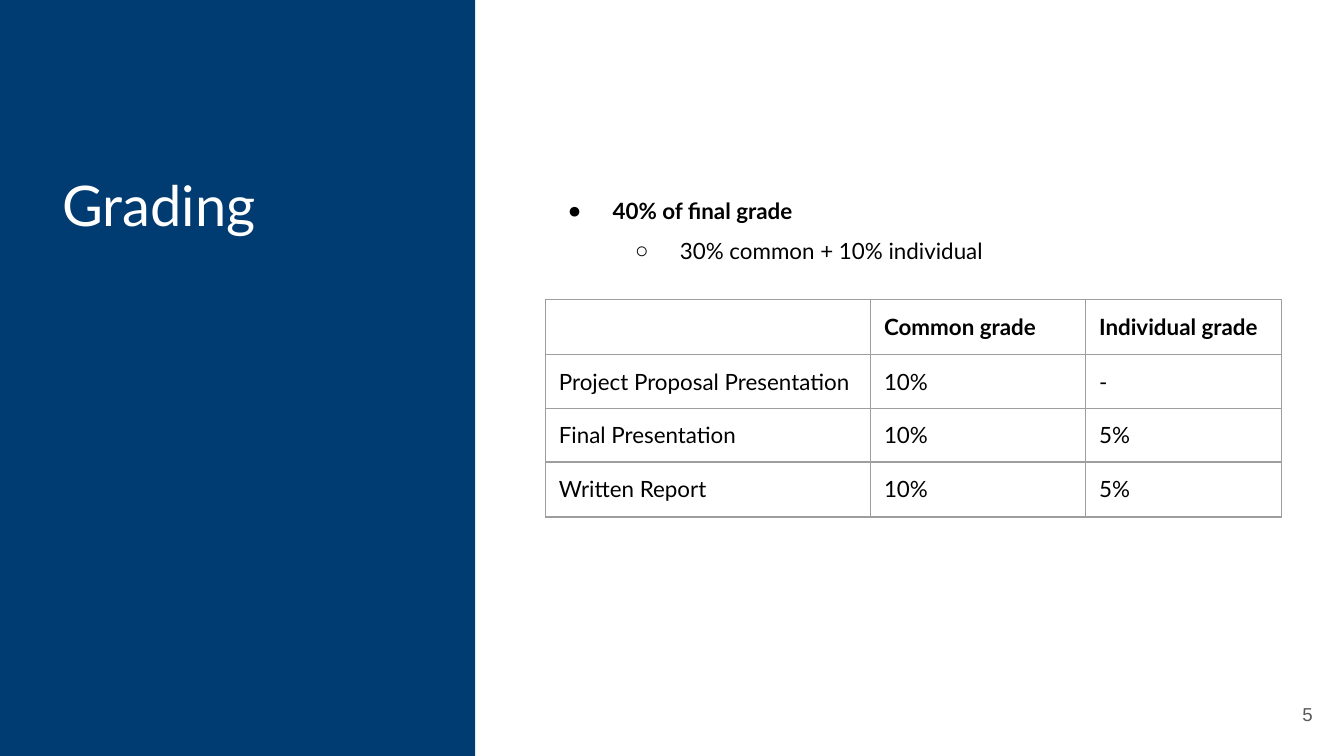
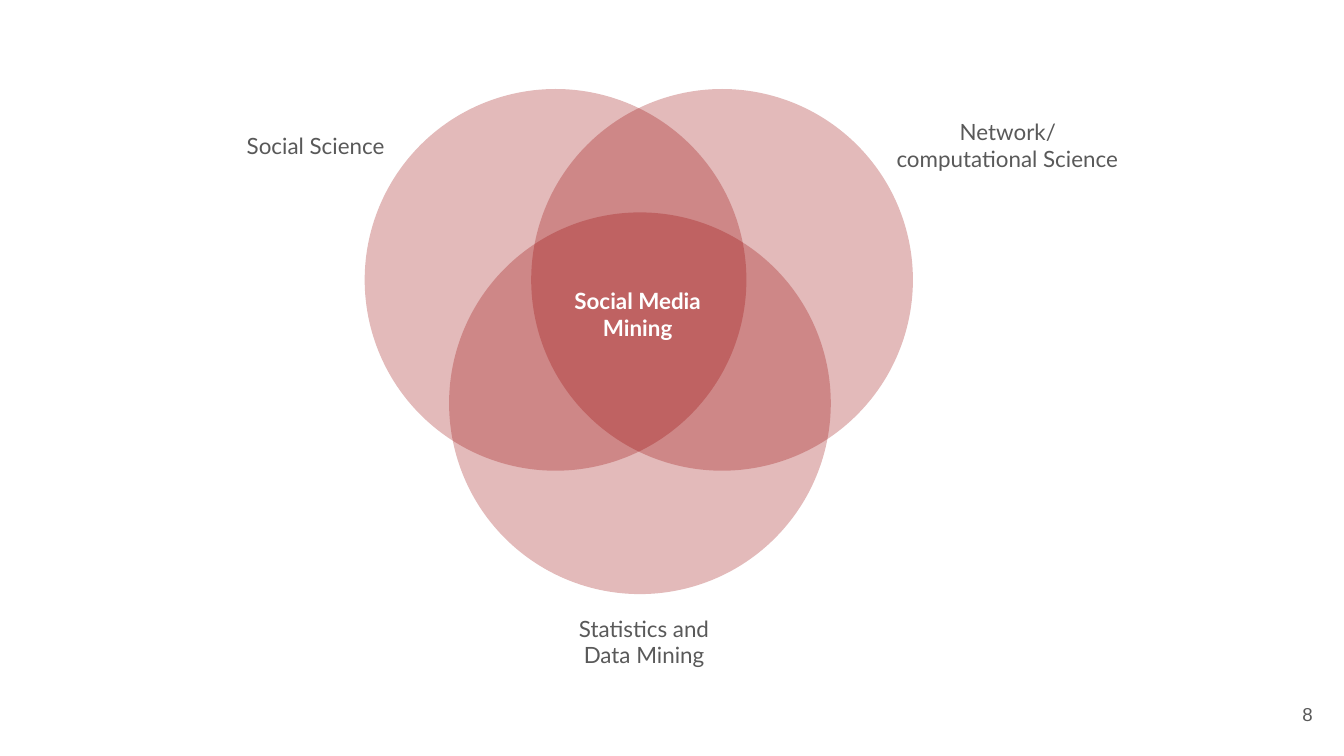
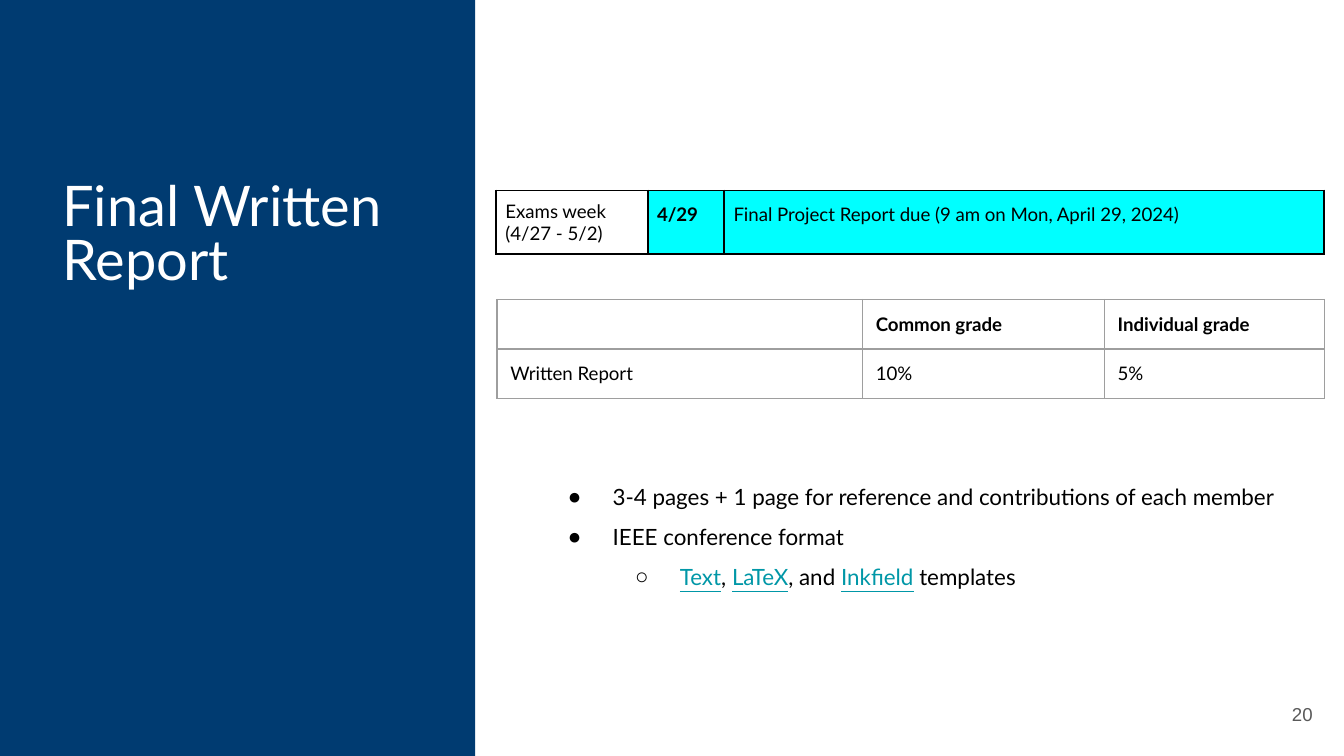
"""Build three course slides: grading, a Venn diagram and the report."""
import pptx
import pptx.dml.color
import pptx.enum.shapes
import pptx.enum.text
import pptx.oxml
import pptx.oxml.ns
import pptx.util
from lxml import etree

Pt = pptx.util.Pt
ALIGN = pptx.enum.text.PP_ALIGN
ANCHOR = pptx.enum.text.MSO_ANCHOR
FORM = pptx.enum.shapes.MSO_SHAPE

INK = {
    "navy": "003B71", "white": "FFFFFF", "black": "000000", "gray": "595959",
    "rule": "9E9E9E", "cyan": "00FFFF", "link": "0097A7", "red": "980000",
}
FONT = "Lato"
BULLETS = ["●", "○"]
FRAME = 236.2

HEADS = [("", ""), ("Common grade", "b"), ("Individual grade", "b")]
REPORT = [("Written Report", ""), ("10%", ""), ("5%", "")]

GRADING = {
    "title": "Grading",
    "number": "5",
    "body": (98.4, 56.2),
    "list": [
        (0, [("40% of final grade", "b")]),
        (1, [("30% common + 10% individual", "")]),
    ],
    "tables": [{
        "at": (292.2, 160.4), "cols": [174.2, 115.2, 105.1],
        "highs": [29.5, 26.6, 28.8, 29.5],
        "size": 12, "inset": 7.2, "edge": ("rule", 0.75),
        "rows": [
            HEADS,
            [("Project Proposal Presentation", ""), ("10%", ""), ("-", "")],
            [("Final Presentation", ""), ("10%", ""), ("5%", "")],
            REPORT,
        ],
    }],
}

FINAL = {
    "title": "Final Written Report",
    "number": "20",
    "body": (251.5, 134.6),
    "list": [
        (0, [("3-4 pages + 1 page for reference and contributions of each member", "")]),
        (0, [("IEEE conference format", "")]),
        (1, [("Text", "u"), (", ", ""), ("LaTeX", "u"), (", and ", ""),
             ("Inkfield", "u"), (" templates", "")]),
    ],
    "tables": [
        {
            "at": (265.8, 102), "cols": [81.2, 41, 131.8, 189.4],
            "highs": [20.9],
            "size": 10, "inset": 5, "edge": ("black", 1), "merge": (2, 3),
            "rows": [[("Exams week (4/27 - 5/2)", ""), ("4/29", "bf"),
                      ("Final Project Report due (9 am on Mon, April 29, 2024)", "f")]],
        },
        {
            "at": (266.2, 160.4), "cols": [195.8, 129.6, 118],
            "highs": [25.9, 25.2],
            "size": 10, "inset": 7.2, "edge": ("rule", 0.75),
            "rows": [HEADS, REPORT],
        },
    ],
}

DISK = 204.5
DISKS = [(195.4, 47.7), (284.6, 47.7), (240.6, 113.8)]
LABELS = [
    ("Social Science", "", "gray", (123, 64.8, 92.2, 25.9)),
    ("Network/computational Science", "", "gray", (470.9, 64.8, 137.5, 25.9)),
    ("Statistics and Data Mining", "", "gray", (290.7, 330.8, 108.7, 25.9)),
    ("Social Media Mining", "b", "white", (295.5, 151, 92.2, 34.6)),
]


def color(name):
    return pptx.dml.color.RGBColor.from_string(INK[name])


def node(root, tag, **attrs):
    return etree.SubElement(root, pptx.oxml.ns.qn(tag), attrs)


def tint(root, name):
    return node(root, "a:srgbClr", val=INK[name])


def write(para, runs, size, ink="black", font=FONT):
    for text, style in runs:
        run = para.add_run()
        run.text = text
        run.font.size = Pt(size)
        run.font.name = font
        run.font.bold = "b" in style
        run.font.underline = "u" in style
        run.font.color.rgb = color("link" if "u" in style else ink)


def frame(shape, inset, anchor):
    text = shape.text_frame
    text.word_wrap = True
    text.auto_size = pptx.enum.text.MSO_AUTO_SIZE.NONE
    text.vertical_anchor = anchor
    text.margin_left = text.margin_right = Pt(inset)
    text.margin_top = text.margin_bottom = Pt(inset)
    return text


def place(shape, left, top, width, height):
    shape.left, shape.top = Pt(left), Pt(top)
    shape.width, shape.height = Pt(width), Pt(height)


def label(slide, runs, box, size, ink, align, font=FONT):
    shape = slide.shapes.add_textbox(*map(Pt, box))
    para = frame(shape, 7.2, ANCHOR.MIDDLE).paragraphs[0]
    para.alignment = align
    write(para, runs, size, ink, font)


def page(slide, number):
    label(slide, [(number, "")], (667.1, 367.2, 43.2, 31), 10, "gray",
          ALIGN.RIGHT, "Arial")


def solid(slide, form, box, ink):
    shape = slide.shapes.add_shape(form, *map(Pt, box))
    shape.shadow.inherit = False
    shape.fill.solid()
    shape.fill.fore_color.rgb = color(ink)
    shape.line.fill.background()
    return shape


def bullet(para, level):
    para.level = level
    para.line_spacing = 1.5
    para.space_before = para.space_after = Pt(0)
    props = para._p.get_or_add_pPr()
    props.set("marL", str(Pt(36 * (level + 1))))
    props.set("indent", str(-Pt(24)))
    tint(node(props, "a:buClr"), "black")
    node(props, "a:buFont", typeface="Arial")
    node(props, "a:buChar", char=BULLETS[level])


def border(cell, ink, width):
    props = cell._tc.get_or_add_tcPr()
    for side in "LRTB":
        line = node(props, f"a:ln{side}", w=str(Pt(width)))
        tint(node(line, "a:solidFill"), ink)


def grid(slide, data):
    rows, cols = data["rows"], data["cols"]
    left, top = data["at"]
    shape = slide.shapes.add_table(
        len(rows), len(cols), Pt(left), Pt(top), Pt(FRAME), Pt(FRAME))
    table = shape.table
    table.first_row = table.horz_banding = False
    for col, width in zip(table.columns, cols):
        col.width = Pt(width)
    for row, high in zip(table.rows, data["highs"]):
        row.height = Pt(high)
    place(shape, left, top, FRAME, FRAME)
    for cell in table.iter_cells():
        border(cell, *data["edge"])
        cell.fill.background()
        cell.margin_left = cell.margin_right = Pt(data["inset"])
        cell.margin_top = cell.margin_bottom = Pt(data["inset"])
    if "merge" in data:
        first, last = data["merge"]
        table.cell(0, first).merge(table.cell(0, last))
    for y, row in enumerate(rows):
        for x, (text, style) in enumerate(row):
            cell = table.cell(y, x)
            para = cell.text_frame.paragraphs[0]
            if text:
                write(para, [(text, style)], data["size"])
            else:
                node(para._p, "a:endParaRPr", sz=str(data["size"] * 100))
            if "f" in style:
                para.line_spacing = 1.15
                cell.fill.solid()
                cell.fill.fore_color.rgb = color("cyan")
    return shape


def split(deck, data):
    slide = deck.slides.add_slide(deck.slide_layouts[1])
    title, body = slide.shapes.title, slide.placeholders[1]
    band = solid(slide, FORM.RECTANGLE, (0, 0, 254.6, 405), "navy")
    title.element.addprevious(band.element)

    place(title, 33.4, 98.4, 209.6, 105.8)
    para = frame(title, 0, ANCHOR.TOP).paragraphs[0]
    para.alignment = ALIGN.LEFT
    para.line_spacing = 0.8
    write(para, [(data["title"], "")], 30, "white")

    top, height = data["body"]
    place(body, 292.2, top, 420.4, height)
    text = frame(body, 0, ANCHOR.TOP)
    for i, (level, runs) in enumerate(data["list"]):
        para = text.add_paragraph() if i else text.paragraphs[0]
        bullet(para, level)
        write(para, runs, 12)

    page(slide, data["number"])
    tables = [grid(slide, item) for item in data["tables"]]
    tables[-1].element.addprevious(body.element)


def venn(deck):
    slide = deck.slides.add_slide(deck.slide_layouts[6])
    for left, top in DISKS:
        disk = solid(slide, FORM.OVAL, (left, top, DISK, DISK), "red")
        fill = disk.element.spPr.find(".//" + pptx.oxml.ns.qn("a:srgbClr"))
        node(fill, "a:alpha", val="27000")
    for text, style, ink, box in LABELS:
        label(slide, [(text, style)], box, 12, ink, ALIGN.CENTER)
    page(slide, "8")


def main():
    deck = pptx.Presentation()
    deck.slide_width, deck.slide_height = Pt(720), Pt(405)
    split(deck, GRADING)
    venn(deck)
    split(deck, FINAL)
    deck.save("out.pptx")


if __name__ == "__main__":
    main()
